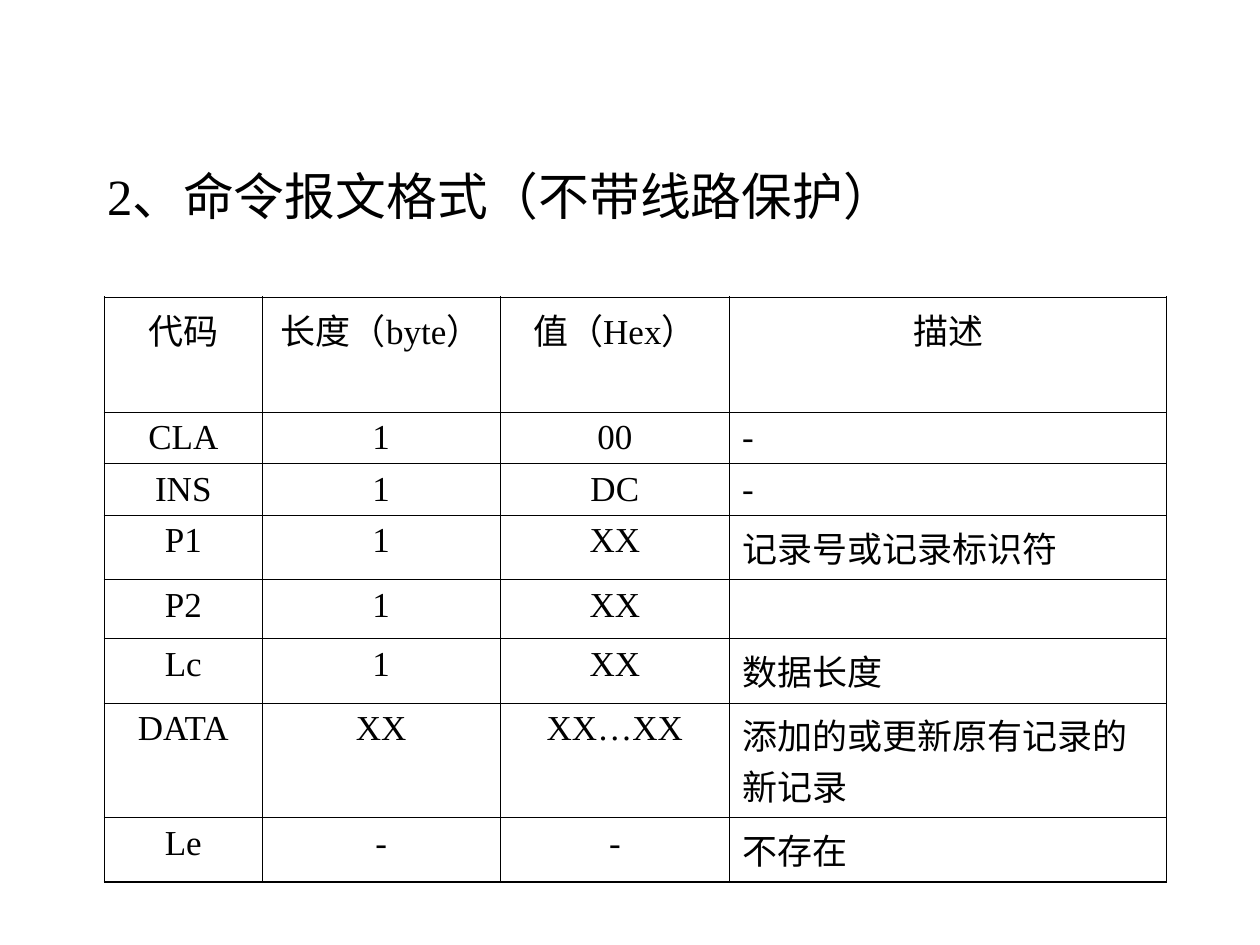
import pptx
import pptx.util
import pptx.dml.color
import pptx.enum.text
import pptx.oxml
import pptx.oxml.ns

HEAD = "2、命令报文格式（不带线路保护）"
ROWS = [
    ("代码", "长度（byte）", "值（Hex）", "描述"),
    ("CLA", "1", "00", "-"),
    ("INS", "1", "DC", "-"),
    ("P1", "1", "XX", "记录号或记录标识符"),
    ("P2", "1", "XX", ""),
    ("Lc", "1", "XX", "数据长度"),
    ("DATA", "XX", "XX…XX", "添加的或更新原有记录的新记录"),
    ("Le", "-", "-", "不存在"),
]
WIDE = [1.25, 1.89, 1.82, 3.47]
HIGH = [0.91, 0.41, 0.41, 0.51, 0.47, 0.51, 0.91, 0.51]
INK = "000000"
FACE = "Times New Roman"
THIN, THICK = 0.45, 1.08

Inches, Pt = pptx.util.Inches, pptx.util.Pt
ALIGN = pptx.enum.text.PP_ALIGN


def color(code):
    return pptx.dml.color.RGBColor.from_string(code)


def write(frame, text, size, align):
    frame.text = text
    para = frame.paragraphs[0]
    para.alignment = align
    font = para.font
    font.size, font.name = Pt(size), FACE
    font.color.rgb = color(INK)
    return para


def edge(cell, side, width):
    cell._tc.get_or_add_tcPr().append(pptx.oxml.parse_xml(
        f'<a:ln{side} {pptx.oxml.ns.nsdecls("a")} w="{Pt(width)}">'
        f'<a:solidFill><a:srgbClr val="{INK}"/></a:solidFill></a:ln{side}>'))


def main():
    deck = pptx.Presentation()
    deck.slide_width, deck.slide_height = Inches(10), Inches(7.5)
    slide = deck.slides.add_slide(deck.slide_layouts[5])

    title = slide.shapes.title
    title.left, title.top = Inches(0.75), Inches(1.31)
    title.width, title.height = Inches(6.93), Inches(0.79)
    frame = title.text_frame
    frame.word_wrap = True
    frame.auto_size = pptx.enum.text.MSO_AUTO_SIZE.NONE
    frame.vertical_anchor = pptx.enum.text.MSO_ANCHOR.TOP
    write(frame, HEAD, 29, ALIGN.LEFT).line_spacing = 0.9

    table = slide.shapes.add_table(
        len(ROWS), len(WIDE), Inches(0.83), Inches(2.36),
        Inches(sum(WIDE)), Inches(sum(HIGH))).table
    table.first_row = table.horz_banding = False
    for col, width in zip(table.columns, WIDE):
        col.width = Inches(width)
    for row, height in zip(table.rows, HIGH):
        row.height = Inches(height)

    last, end = len(ROWS) - 1, len(WIDE) - 1
    for r, row in enumerate(ROWS):
        for c, text in enumerate(row):
            cell = table.cell(r, c)
            left = r > 0 and c == end
            write(cell.text_frame, text, 20, ALIGN.LEFT if left else ALIGN.CENTER)
            outer = {"L": c == 0, "R": c == end, "T": r == 0, "B": r == last}
            for side, thick in outer.items():
                edge(cell, side, THICK if thick else THIN)
            cell.fill.background()

    deck.save("out.pptx")


if __name__ == "__main__":
    main()
